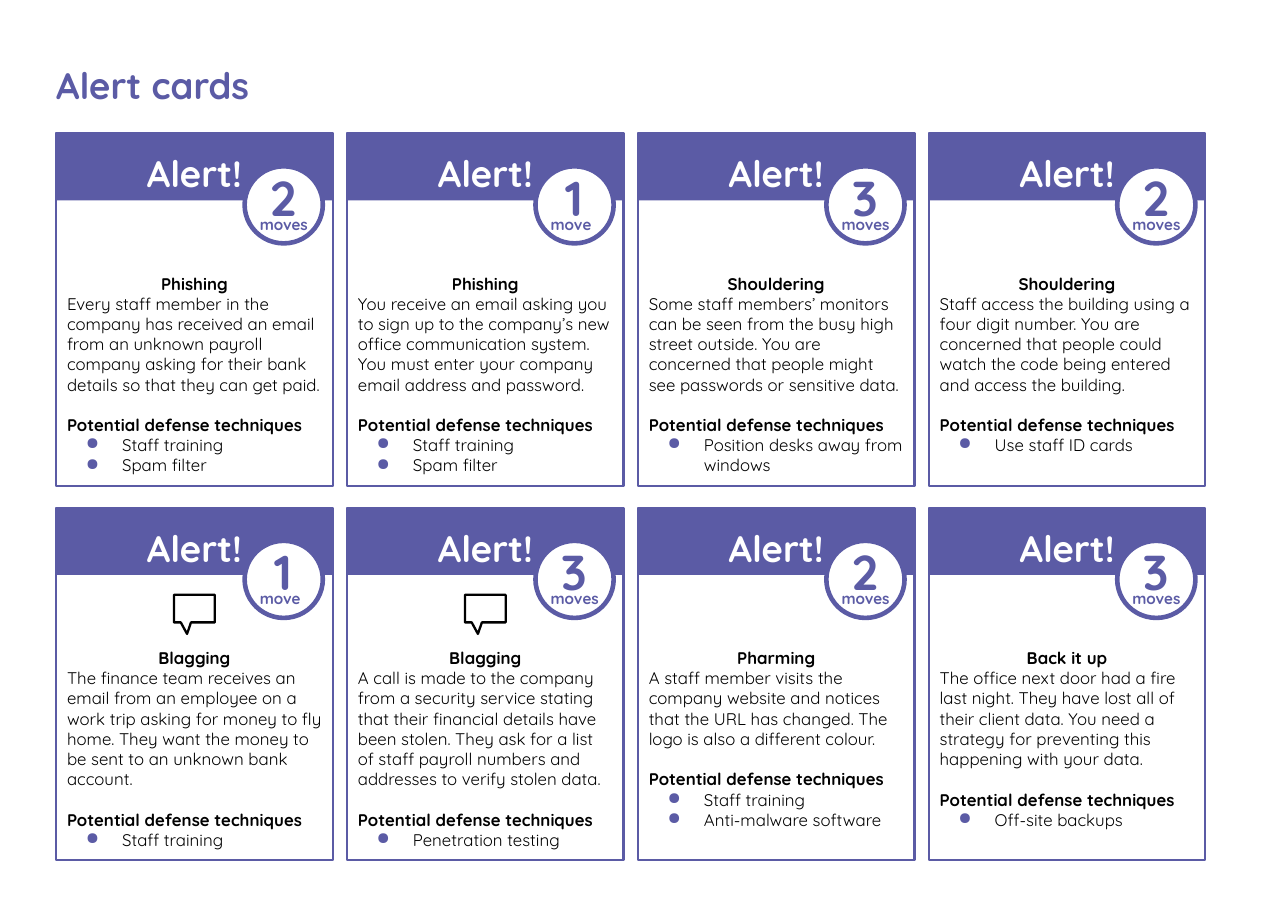
import lxml.etree
import pptx
import pptx.dml.color
import pptx.enum.shapes
import pptx.enum.text
import pptx.oxml.ns
import pptx.util

# Content: topic, moves, situation, defenses, speech bubble shown
TITLE = "Alert cards"
CARD_HEADER = "Alert!"
DEFENSE_HEADING = "Potential defense techniques"
CARD_ROWS = [
    [
        ("Phishing", 2, "Every staff member in the company has received an email from an "
         "unknown payroll company asking for their bank details so that they can get paid.",
         ["Staff training", "Spam filter"], False),
        ("Phishing", 1, "You receive an email asking you to sign up to the company’s new office "
         "communication system. You must enter your company email address and password.",
         ["Staff training", "Spam filter"], False),
        ("Shouldering", 3, "Some staff members’ monitors can be seen from the busy high street "
         "outside. You are concerned that people might see passwords or sensitive data.",
         ["Position desks away from windows"], False),
        ("Shouldering", 2, "Staff access the building using a four digit number. You are "
         "concerned that people could watch the code being entered and access the building.",
         ["Use staff ID cards"], False),
    ],
    [
        ("Blagging", 1, "The finance team receives an email from an employee on a work trip asking "
         "for money to fly home. They want the money to be sent to an unknown bank account.",
         ["Staff training"], True),
        ("Blagging", 3, "A call is made to the company from a security service stating that their "
         "financial details have been stolen. They ask for a list of staff payroll numbers and "
         "addresses to verify stolen data.",
         ["Penetration testing"], True),
        ("Pharming", 2, "A staff member visits the company website and notices that the URL has "
         "changed. The logo is also a different colour.",
         ["Staff training", "Anti-malware software"], False),
        ("Back it up", 3, "The office next door had a fire last night. They have lost all of their "
         "client data. You need a strategy for preventing this happening with your data.",
         ["Off-site backups"], False),
    ],
]

# Style and grid, in px (100 px to the inch)
PX = 9144
FONT = "Quicksand"
PURPLE = pptx.dml.color.RGBColor(0x5B, 0x5B, 0xA5)
WHITE = pptx.dml.color.RGBColor(0xFF, 0xFF, 0xFF)
BLACK = pptx.dml.color.RGBColor(0x00, 0x00, 0x00)
CARD_LEFT, CARD_TOP = 51, 121
CARD_WIDTH, CARD_HEIGHT = 251, 320
COLUMN_STEP, ROW_STEP = 264, 340
HEADER_HEIGHT = 61
BODY_TOP = 117
INSET = 10
LINE_GAP = pptx.util.Pt(13.2)

SHAPES = pptx.enum.shapes.MSO_SHAPE
CENTER = pptx.enum.text.PP_ALIGN.CENTER
LEFT = pptx.enum.text.PP_ALIGN.LEFT


def scaled(*lengths):
    return [length * PX for length in lengths]


def prepare_frame(shape):
    frame = shape.text_frame
    frame.word_wrap = True
    frame.auto_size = pptx.enum.text.MSO_AUTO_SIZE.NONE
    frame.vertical_anchor = pptx.enum.text.MSO_ANCHOR.TOP
    frame.margin_left = frame.margin_right = INSET * PX
    frame.margin_top = frame.margin_bottom = INSET * PX
    return frame


def write(paragraph, text, size, color, bold=True, align=LEFT):
    paragraph.alignment = align
    run = paragraph.add_run()
    run.text = text
    run.font.name = FONT
    run.font.size = pptx.util.Pt(size)
    run.font.bold = bold
    run.font.color.rgb = color


def write_heading(shape, text, color, align):
    paragraph = prepare_frame(shape).paragraphs[0]
    paragraph.line_spacing = 1.15
    paragraph.space_before = pptx.util.Pt(0)
    write(paragraph, text, 24, color, align=align)


def add_bullet(paragraph):
    properties = paragraph._p.get_or_add_pPr()
    properties.set("marL", str(50 * PX))
    properties.set("indent", str(-33 * PX))
    qn = pptx.oxml.ns.qn
    bullet_color = lxml.etree.SubElement(properties, qn("a:buClr"))
    lxml.etree.SubElement(bullet_color, qn("a:srgbClr"), val=str(PURPLE))
    lxml.etree.SubElement(properties, qn("a:buChar"), char="●")


def add_shape(slide, kind, box, fill=None, line=None, line_width=1.5):
    shape = slide.shapes.add_shape(kind, *scaled(*box))
    shape.shadow.inherit = False
    if fill is None:
        shape.fill.background()
    else:
        shape.fill.solid()
        shape.fill.fore_color.rgb = fill
    if line is None:
        shape.line.fill.background()
    else:
        shape.line.color.rgb = line
        shape.line.width = pptx.util.Pt(line_width)
    return shape


def add_label(slide, box, text, size, align):
    frame = prepare_frame(slide.shapes.add_textbox(*scaled(*box)))
    write(frame.paragraphs[0], text, size, PURPLE, align=align)


def add_body(slide, left, top, topic, situation, defenses):
    box = (left, top, CARD_WIDTH, 205)
    frame = prepare_frame(slide.shapes.add_textbox(*scaled(*box)))
    write(frame.paragraphs[0], topic, 11, BLACK, align=CENTER)
    write(frame.add_paragraph(), situation, 11, BLACK, bold=False)
    heading = frame.add_paragraph()
    heading.space_before = LINE_GAP
    write(heading, DEFENSE_HEADING, 11, BLACK)
    for defense in defenses:
        paragraph = frame.add_paragraph()
        add_bullet(paragraph)
        write(paragraph, defense, 11, BLACK, bold=False)


def add_card(slide, left, top, card):
    topic, moves, situation, defenses, has_bubble = card
    # Frame and header
    add_shape(slide, SHAPES.RECTANGLE, (left, top, CARD_WIDTH, CARD_HEIGHT), line=PURPLE)
    header = add_shape(slide, SHAPES.RECTANGLE, (left, top, CARD_WIDTH, HEADER_HEIGHT), PURPLE)
    write_heading(header, CARD_HEADER, WHITE, CENTER)
    add_body(slide, left, top + BODY_TOP, topic, situation, defenses)
    # Badge with the number of moves
    add_shape(slide, SHAPES.OVAL, (left + 171, top + 30, 71, 70), WHITE, PURPLE, 3)
    add_label(slide, (left + 176, top + 21, 60, 74), str(moves), 32, CENTER)
    unit = "move" if moves == 1 else "moves"
    add_label(slide, (left + 175, top + 64, 90, 37), unit, 10, LEFT)
    # Speech bubble
    if has_bubble:
        bubble = add_shape(slide, SHAPES.ROUNDED_RECTANGULAR_CALLOUT,
                           (left + 107, top + 79, 37, 25), WHITE, BLACK)
        for index, value in enumerate((-0.18, 0.92, 0)):
            bubble.adjustments[index] = value


def main():
    presentation = pptx.Presentation()
    presentation.slide_width, presentation.slide_height = scaled(1169, 827)
    slide = presentation.slides.add_slide(presentation.slide_layouts[5])

    # Title
    title = slide.shapes.title
    title.left, title.top, title.width, title.height = scaled(41, 41, 328, 61)
    write_heading(title, TITLE, PURPLE, LEFT)

    # Grid of cards
    for row, cards in enumerate(CARD_ROWS):
        for column, card in enumerate(cards):
            add_card(slide, CARD_LEFT + column * COLUMN_STEP, CARD_TOP + row * ROW_STEP, card)

    presentation.save("out.pptx")


if __name__ == "__main__":
    main()
